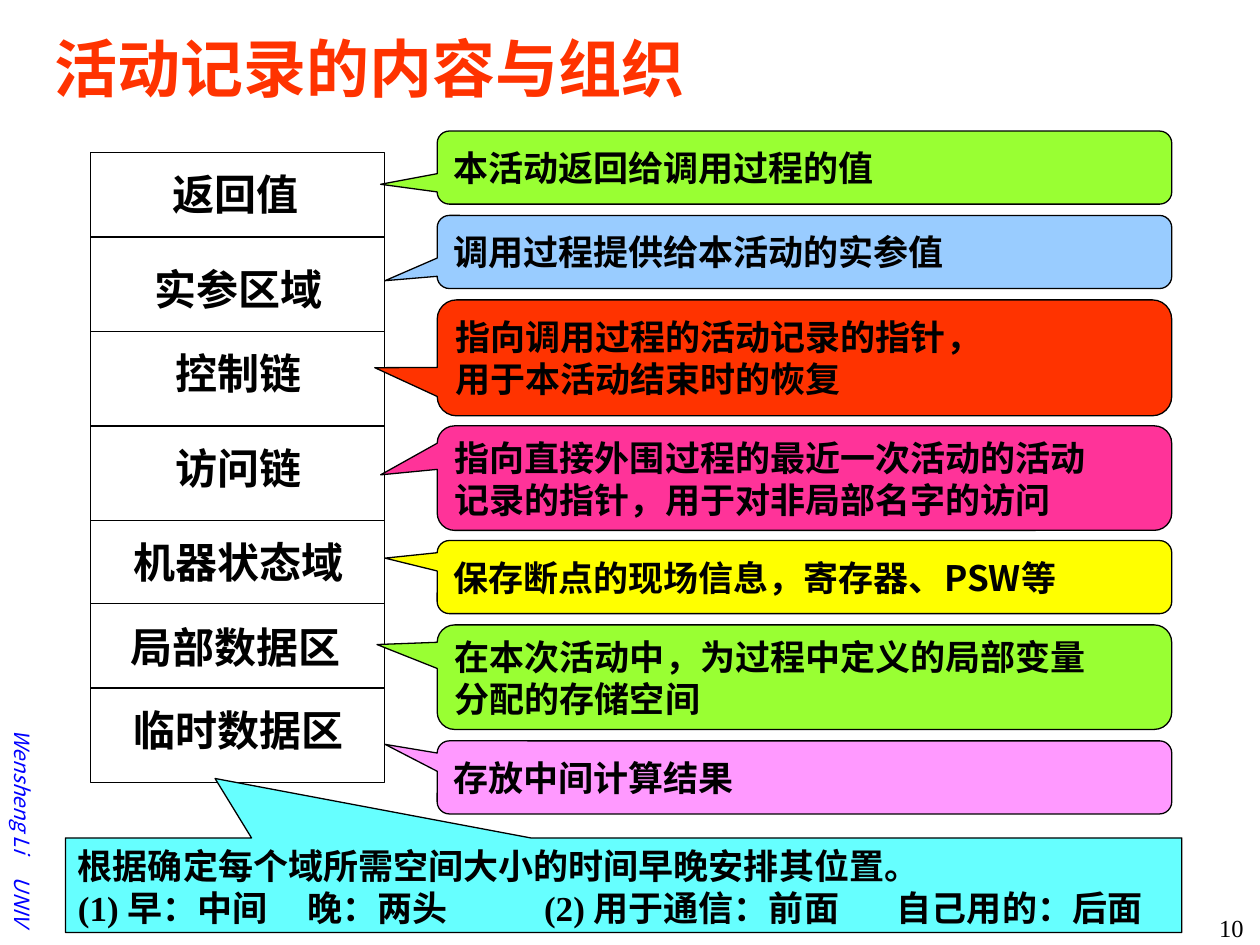
from dataclasses import dataclass

from pptx import Presentation
from pptx import util as u
from pptx.dml.color import RGBColor
from pptx.enum import shapes, text
from pptx.oxml.ns import qn
from lxml import etree

A = text.PP_ALIGN
MID, TOP = text.MSO_ANCHOR.MIDDLE, text.MSO_ANCHOR.TOP


@dataclass(frozen=True)
class Theme:
    """Colours, fonts and type sizes of the slide."""
    black: str = "000000"
    red: str = "FF3300"
    blue: str = "0000FF"
    green: str = "99FF33"
    sky: str = "99CCFF"
    pink: str = "FF3399"
    yellow: str = "FFFF00"
    lilac: str = "FF99FF"
    cyan: str = "66FFFF"
    sans: str = "Noto Sans CJK SC"
    serif: str = "Times New Roman"
    title: int = 36
    label: int = 24
    body: int = 20
    number: int = 14
    footer: int = 12
    line: float = 0.75


class SlideBuilder:
    """Draws styled elements on one slide."""

    def __init__(self, slide, theme):
        """Keep the slide and the theme."""
        self.s, self.t = slide, theme

    def set_text(self, sp, lines, size, font=None, color=None, bold=True, italic=False,
                 align=A.LEFT, anchor=MID, wrap=True, tabs=()):
        """Fill a shape with one paragraph per line."""
        tf = sp.text_frame
        tf.text = "\n".join(lines)
        tf.word_wrap, tf.vertical_anchor = wrap, anchor
        tf.auto_size = text.MSO_AUTO_SIZE.NONE
        for p in tf.paragraphs:
            p.alignment = align
            if len(lines) > 1:
                p.line_spacing = u.Pt(size * 1.2)
            f = p.font
            f.size, f.bold, f.italic = u.Pt(size), bold, italic
            f.name = font or self.t.sans
            f.color.rgb = RGBColor.from_string(color or self.t.black)
            props = p._p.pPr.find(qn("a:defRPr"))
            etree.SubElement(props, qn("a:ea"), typeface=self.t.sans)
            if tabs:
                stops = etree.Element(qn("a:tabLst"))
                for pos in tabs:
                    etree.SubElement(stops, qn("a:tab"), pos=str(u.Inches(pos)), algn="l")
                props.addprevious(stops)
        return tf

    def title(self, words, box):
        """Place and format the title placeholder."""
        sp = self.s.shapes.title
        sp.left, sp.top, sp.width, sp.height = map(u.Inches, box)
        self.set_text(sp, [words], self.t.title, color=self.t.red)

    def textbox(self, words, box, size, rotation=0, **style):
        """Add a one-line text box."""
        sp = self.s.shapes.add_textbox(*map(u.Inches, box))
        sp.rotation = rotation
        return self.set_text(sp, [words], size, **style)

    def shape(self, kind, box, fill=None, adjust=(), parent=None):
        """Add an outlined preset shape."""
        sp = (parent or self.s).shapes.add_shape(kind, *map(u.Inches, box))
        sp.shadow.inherit = False
        for i, value in enumerate(adjust):
            sp.adjustments[i] = value
        if fill:
            sp.fill.solid()
            sp.fill.fore_color.rgb = RGBColor.from_string(fill)
        else:
            sp.fill.background()
        self.outline(sp)
        return sp

    def outline(self, sp):
        """Give a shape or connector the thin black line."""
        sp.line.color.rgb = RGBColor.from_string(self.t.black)
        sp.line.width = u.Pt(self.t.line)

    def record(self, left, top, width, height, dividers):
        """Add the grouped frame with its divider lines."""
        group = self.s.shapes.add_group_shape()
        self.shape(shapes.MSO_SHAPE.RECTANGLE, (left, top, width, height), parent=group)
        for y in dividers:
            ends = map(u.Inches, (left, y, left + width, y))
            ln = group.shapes.add_connector(shapes.MSO_CONNECTOR.STRAIGHT, *ends)
            self.outline(ln)
            etree.SubElement(ln._element.spPr, qn("a:effectLst"))

    def callout(self, lines, top, height, fill, tip):
        """Add a rounded callout that points at a field."""
        sp = self.shape(shapes.MSO_SHAPE.ROUNDED_RECTANGULAR_CALLOUT,
                        (3.47, top, 5.83, height), fill, (*tip, 0.167))
        self.set_text(sp, lines, self.t.body)


def main():
    """Build and save the slide."""
    t = Theme()
    prs = Presentation()
    prs.slide_width, prs.slide_height = u.Inches(10), u.Inches(7.5)
    b = SlideBuilder(prs.slides.add_slide(prs.slide_layouts[5]), t)

    footer = b.textbox("Wensheng Li\tUNIV", (-1.14, 6, 2.64, 0.3), t.footer, rotation=90,
                       color=t.blue, bold=False, italic=True, tabs=[1.17])
    footer.margin_left = u.Inches(0.96)
    footer.margin_right = 0
    b.textbox("10", (9.14, 7.2, 0.83, 0.3), t.number, font=t.serif, bold=False,
              align=A.RIGHT, anchor=TOP)
    b.title("活动记录的内容与组织", (0.33, 0.17, 9.42, 0.73))

    # Field name, centre and top of its label
    fields = [("返回值", 1.87, 1.29), ("实参区域", 1.89, 2.04), ("控制链", 1.89, 2.71),
              ("访问链", 1.89, 3.46), ("机器状态域", 1.89, 4.21),
              ("局部数据区", 1.87, 4.88), ("临时数据区", 1.89, 5.54)]
    b.record(0.72, 1.21, 2.33, 5, [1.88, 2.63, 3.38, 4.13, 4.79, 5.46])
    for name, centre, top in fields:
        width = 0.2 + len(name) * t.label / 72
        b.textbox(name, (centre - width / 2, top, width, 0.5), t.label,
                  align=A.CENTER, wrap=False)

    # Lines, top, height, fill and pointer tip
    callouts = [
        (["本活动返回给调用过程的值"], 1.04, 0.58, t.green, (-0.577, 0.229)),
        (["调用过程提供给本活动的实参值"], 1.71, 0.58, t.sky, (-0.571, 0.393)),
        (["指向调用过程的活动记录的指针，", "用于本活动结束时的恢复"],
         2.38, 0.92, t.red, (-0.585, 0.085)),
        (["指向直接外围过程的最近一次活动的活动", "记录的指针，用于对非局部名字的访问"],
         3.38, 0.83, t.pink, (-0.577, -0.031)),
        (["保存断点的现场信息，寄存器、PSW等"], 4.29, 0.58, t.yellow, (-0.571, -0.259)),
        (["在本次活动中，为过程中定义的局部变量", "分配的存储空间"],
         4.96, 0.83, t.green, (-0.582, -0.312)),
        (["存放中间计算结果"], 5.88, 0.58, t.lilac, (-0.571, -0.452)),
    ]
    for callout in callouts:
        b.callout(*callout)

    summary = b.shape(shapes.MSO_SHAPE.RECTANGULAR_CALLOUT, (0.52, 6.65, 8.86, 0.75),
                      t.cyan, (-0.366, -1.129))
    b.set_text(summary, ["根据确定每个域所需空间大小的时间早晚安排其位置。",
                         "(1) 早：中间\t晚：两头\t(2) 用于通信：前面\t自己用的：后面"],
               t.body, font=t.serif, anchor=TOP, tabs=[1.82, 3.7, 6.5])

    prs.save("out.pptx")


main()
